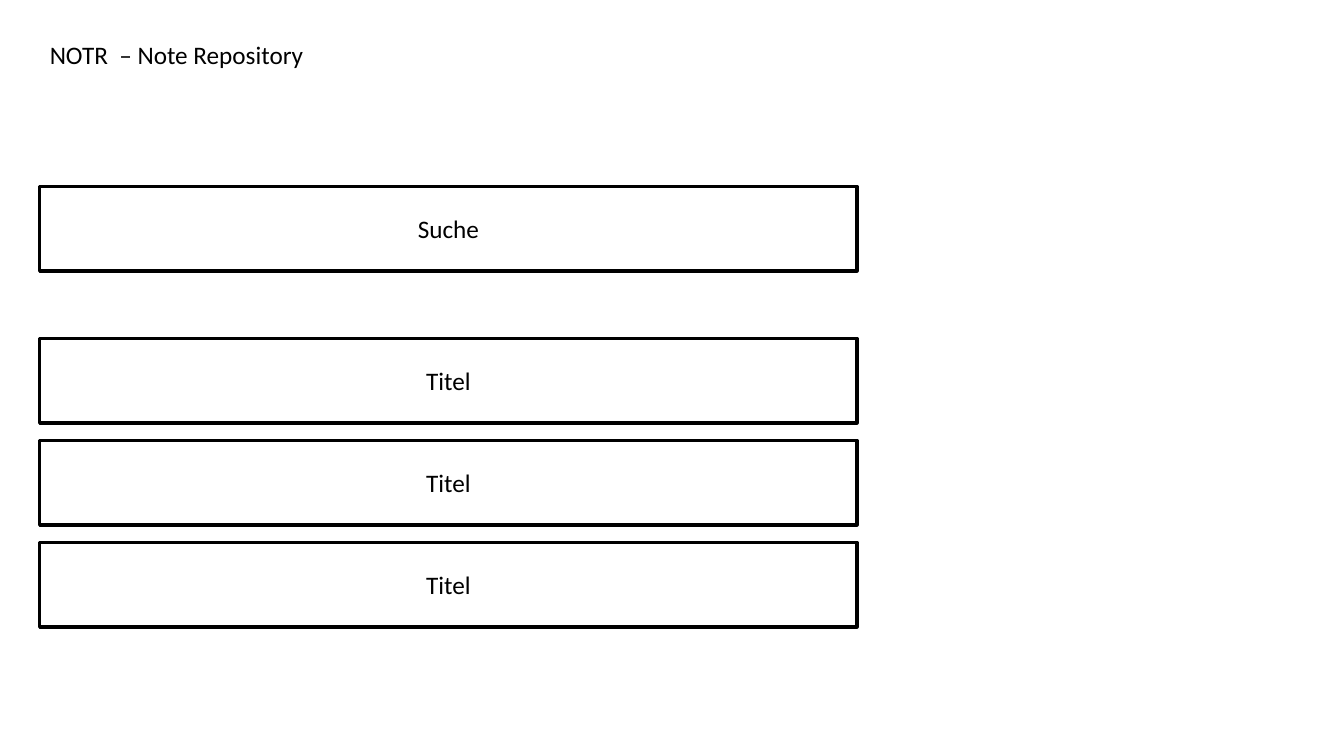
from pptx import Presentation
from pptx.dml.color import RGBColor
from pptx.enum.shapes import MSO_SHAPE
from pptx.enum.text import MSO_ANCHOR, MSO_AUTO_SIZE, PP_ALIGN
from pptx.util import Cm, Pt

RECT = MSO_SHAPE.RECTANGLE
TOP, MIDDLE = MSO_ANCHOR.TOP, MSO_ANCHOR.MIDDLE
LEFT, CENTER = PP_ALIGN.LEFT, PP_ALIGN.CENTER
GROW = MSO_AUTO_SIZE.SHAPE_TO_FIT_TEXT

COLORS = {"ink": "000000", "paper": "FFFFFF"}
INK = RGBColor.from_string(COLORS["ink"])
PAPER = RGBColor.from_string(COLORS["paper"])
FONT = {"name": "Calibri", "size": Pt(18), "bold": False}

X, WIDTH = Cm(1), Cm(20.6)
BOX_HEIGHT = Cm(2.13)
SEARCH_TOP = 4.7
NOTES_TOP, NOTE_STEP, NOTE_COUNT = 8.53, 2.57, 3


def write(sp, text, anchor, align):
    tf = sp.text_frame
    tf.word_wrap = True
    tf.vertical_anchor = anchor
    p = tf.paragraphs[0]
    p.alignment = align
    r = p.add_run()
    r.text = text
    for name, value in FONT.items():
        setattr(r.font, name, value)
    r.font.color.rgb = INK


prs = Presentation()
prs.slide_width, prs.slide_height = Cm(33.87), Cm(19.05)
s = prs.slides.add_slide(prs.slide_layouts[5])

title = s.shapes.title
title.left, title.top, title.width, title.height = X, Cm(0.86), WIDTH, Cm(1.03)
write(title, "NOTR  – Note Repository", TOP, LEFT)
title.text_frame.auto_size = GROW

boxes = [("Suche", SEARCH_TOP)]
boxes += [("Titel", NOTES_TOP + i * NOTE_STEP) for i in range(NOTE_COUNT)]
for label, top in boxes:
    sp = s.shapes.add_shape(RECT, X, Cm(top), WIDTH, BOX_HEIGHT)
    sp.shadow.inherit = False
    sp.fill.solid()
    sp.fill.fore_color.rgb = PAPER
    sp.line.color.rgb = INK
    sp.line.width = Pt(2.25)
    write(sp, label, MIDDLE, CENTER)

prs.save("out.pptx")
